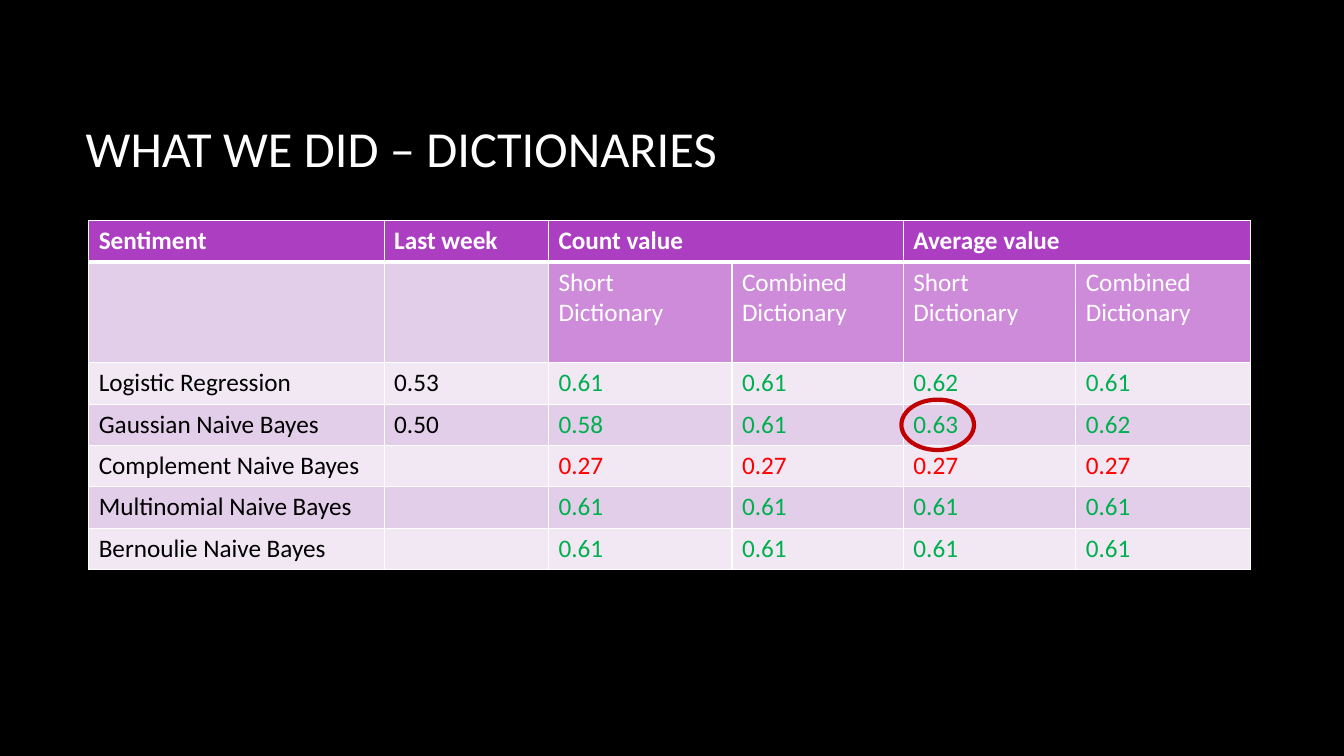
from dataclasses import dataclass

from lxml import etree
from pptx import Presentation
from pptx.dml.color import RGBColor
from pptx.enum.shapes import MSO_SHAPE
from pptx.enum.text import MSO_ANCHOR, MSO_AUTO_SIZE, PP_ALIGN
from pptx.oxml.ns import qn
from pptx.util import Inches, Pt

OVAL = MSO_SHAPE.OVAL
MIDDLE = MSO_ANCHOR.MIDDLE
LEFT = PP_ALIGN.LEFT
NO_AUTOFIT = MSO_AUTO_SIZE.NONE
TITLE_ONLY = 5


@dataclass(frozen=True)
class Theme:
    """Colours, font and type sizes of the slide."""
    font: str = "Calibri"
    title_size: int = 36
    table_size: int = 18
    background: str = "000000"
    light: str = "FFFFFF"
    dark: str = "000000"
    header: str = "AC3EC1"
    subheader: str = "CD8BDA"
    bands: tuple = ("F1E8F4", "E3CEE9")
    good: str = "00B050"
    bad: str = "FF0000"
    highlight: str = "C00000"


THEME = Theme()
SLIDE_SIZE = (13.33, 7.5)
TITLE_BOX = (0.75, 0.67, 11.08, 1.59)
TABLE_ORIGIN = (0.88, 2.19)
COLUMN_WIDTHS = (2.93, 1.63, 1.82, 1.7, 1.71, 1.73)
ROW_HEIGHTS = (0.41, 1.0) + (0.41,) * 5
HEADER_SPANS = ((2, 3), (4, 5))
FIRST_SCORE_COLUMN = 2
BASELINE = 0.5
BEST_SCORE = (3, 4)
ROWS = (
    ("Sentiment", "Last week", "Count value", "", "Average value", ""),
    ("", "") + ("Short Dictionary", "Combined Dictionary") * 2,
    ("Logistic Regression", "0.53", "0.61", "0.61", "0.62", "0.61"),
    ("Gaussian Naive Bayes", "0.50", "0.58", "0.61", "0.63", "0.62"),
    ("Complement Naive Bayes", "", "0.27", "0.27", "0.27", "0.27"),
    ("Multinomial Naive Bayes", "", "0.61", "0.61", "0.61", "0.61"),
    ("Bernoulie Naive Bayes", "", "0.61", "0.61", "0.61", "0.61"),
)


def add_run(paragraph, text, size, color, bold=False):
    """Append one formatted run to a paragraph."""
    run = paragraph.add_run()
    run.text = text
    run.font.name = THEME.font
    run.font.size = Pt(size)
    run.font.bold = bold
    run.font.color.rgb = RGBColor.from_string(color)


def add_title(slide, text):
    """Place and format the title placeholder."""
    title = slide.shapes.title
    title.left, title.top, title.width, title.height = map(Inches, TITLE_BOX)
    frame = title.text_frame
    frame.word_wrap = True
    frame.auto_size = NO_AUTOFIT
    frame.vertical_anchor = MIDDLE
    paragraph = frame.paragraphs[0]
    paragraph.alignment = LEFT
    add_run(paragraph, text, THEME.title_size, THEME.light)


def set_borders(cell, top, bottom):
    """Draw light borders, with the given top and bottom widths in points."""
    properties = cell._tc.get_or_add_tcPr()
    widths = {"a:lnL": 1, "a:lnR": 1, "a:lnT": top, "a:lnB": bottom}
    for position, (tag, width) in enumerate(widths.items()):
        line = etree.Element(qn(tag), w=str(Pt(width)))
        fill = etree.SubElement(line, qn("a:solidFill"))
        etree.SubElement(fill, qn("a:srgbClr"), val=THEME.light)
        properties.insert(position, line)


def cell_colors(row, column, text):
    """Return the fill and text colours for a table position."""
    if row == 0:
        return THEME.header, THEME.light
    if row == 1 and column >= FIRST_SCORE_COLUMN:
        return THEME.subheader, THEME.light
    band = THEME.bands[row % 2]
    if row == 1 or column < FIRST_SCORE_COLUMN:
        return band, THEME.dark
    return band, THEME.good if float(text) > BASELINE else THEME.bad


def format_cell(cell, row, column, text):
    """Fill, border and write one table cell."""
    fill, color = cell_colors(row, column, text)
    cell.fill.solid()
    cell.fill.fore_color.rgb = RGBColor.from_string(fill)
    set_borders(cell, 3 if row == 1 else 1, 3 if row == 0 else 1)
    if text:
        paragraph = cell.text_frame.paragraphs[0]
        add_run(paragraph, text, THEME.table_size, color, bold=row == 0)


def add_score_table(slide):
    """Add the table of classifier scores."""
    box = (*TABLE_ORIGIN, sum(COLUMN_WIDTHS), sum(ROW_HEIGHTS))
    table = slide.shapes.add_table(
        len(ROWS), len(COLUMN_WIDTHS), *map(Inches, box)).table
    for column, width in zip(table.columns, COLUMN_WIDTHS):
        column.width = Inches(width)
    for row, height in zip(table.rows, ROW_HEIGHTS):
        row.height = Inches(height)
    for first, last in HEADER_SPANS:
        table.cell(0, first).merge(table.cell(0, last))
    for row, texts in enumerate(ROWS):
        for column, text in enumerate(texts):
            format_cell(table.cell(row, column), row, column, text)


def add_score_ring(slide, row, column):
    """Circle the score at a table position."""
    width, height = 0.72, 0.5
    left = TABLE_ORIGIN[0] + sum(COLUMN_WIDTHS[:column]) - 0.02
    center = TABLE_ORIGIN[1] + sum(ROW_HEIGHTS[:row]) + ROW_HEIGHTS[row] / 2
    box = (left, center - height / 2, width, height)
    ring = slide.shapes.add_shape(OVAL, *map(Inches, box))
    ring.shadow.inherit = False
    ring.fill.background()
    ring.line.color.rgb = RGBColor.from_string(THEME.highlight)
    ring.line.width = Pt(3)


def main():
    """Build and save the slide."""
    presentation = Presentation()
    presentation.slide_width, presentation.slide_height = map(Inches, SLIDE_SIZE)
    slide = presentation.slides.add_slide(presentation.slide_layouts[TITLE_ONLY])
    background = slide.background.fill
    background.solid()
    background.fore_color.rgb = RGBColor.from_string(THEME.background)
    add_title(slide, "WHAT WE DID – DICTIONARIES")
    add_score_table(slide)
    add_score_ring(slide, *BEST_SCORE)
    presentation.save("out.pptx")


if __name__ == "__main__":
    main()
